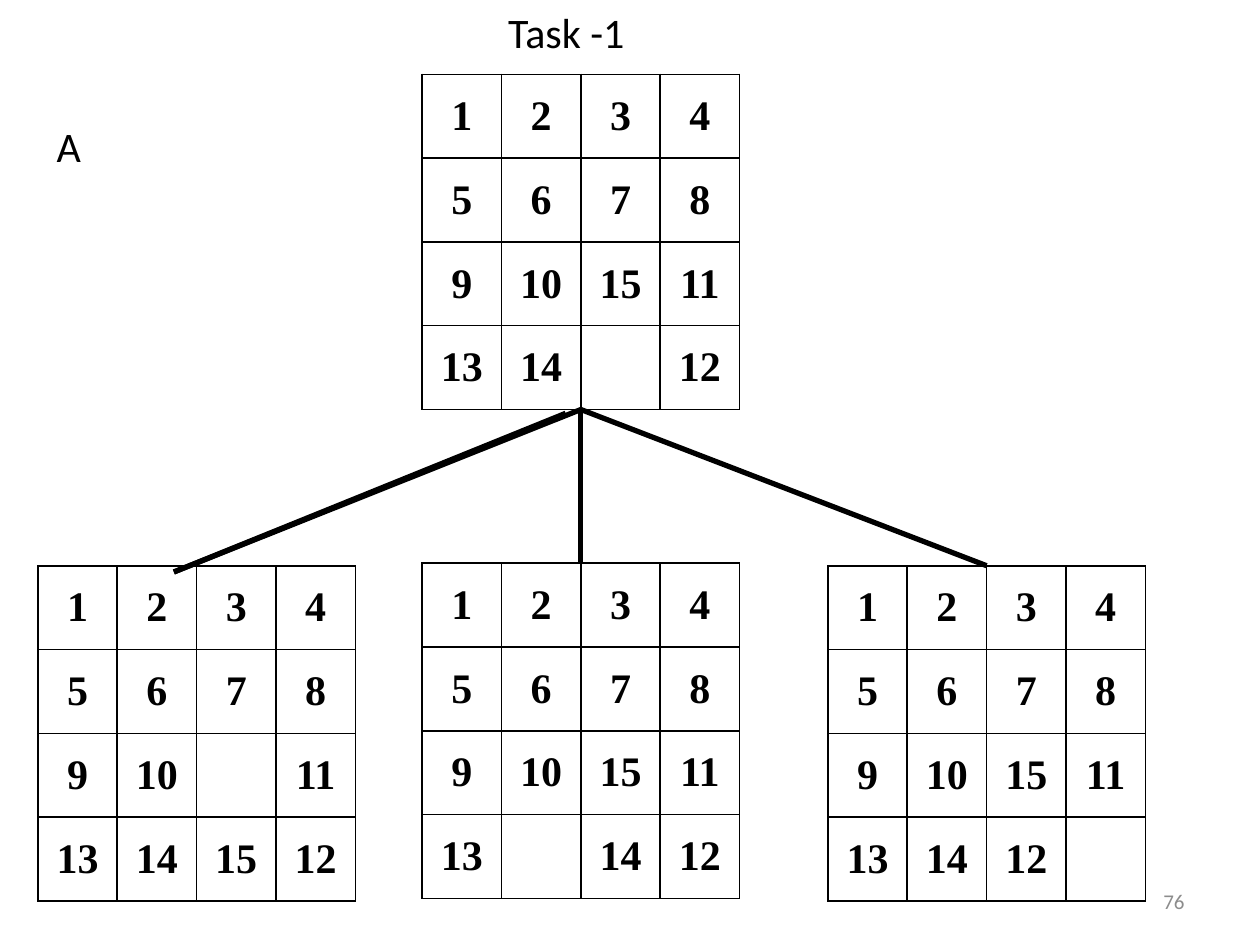
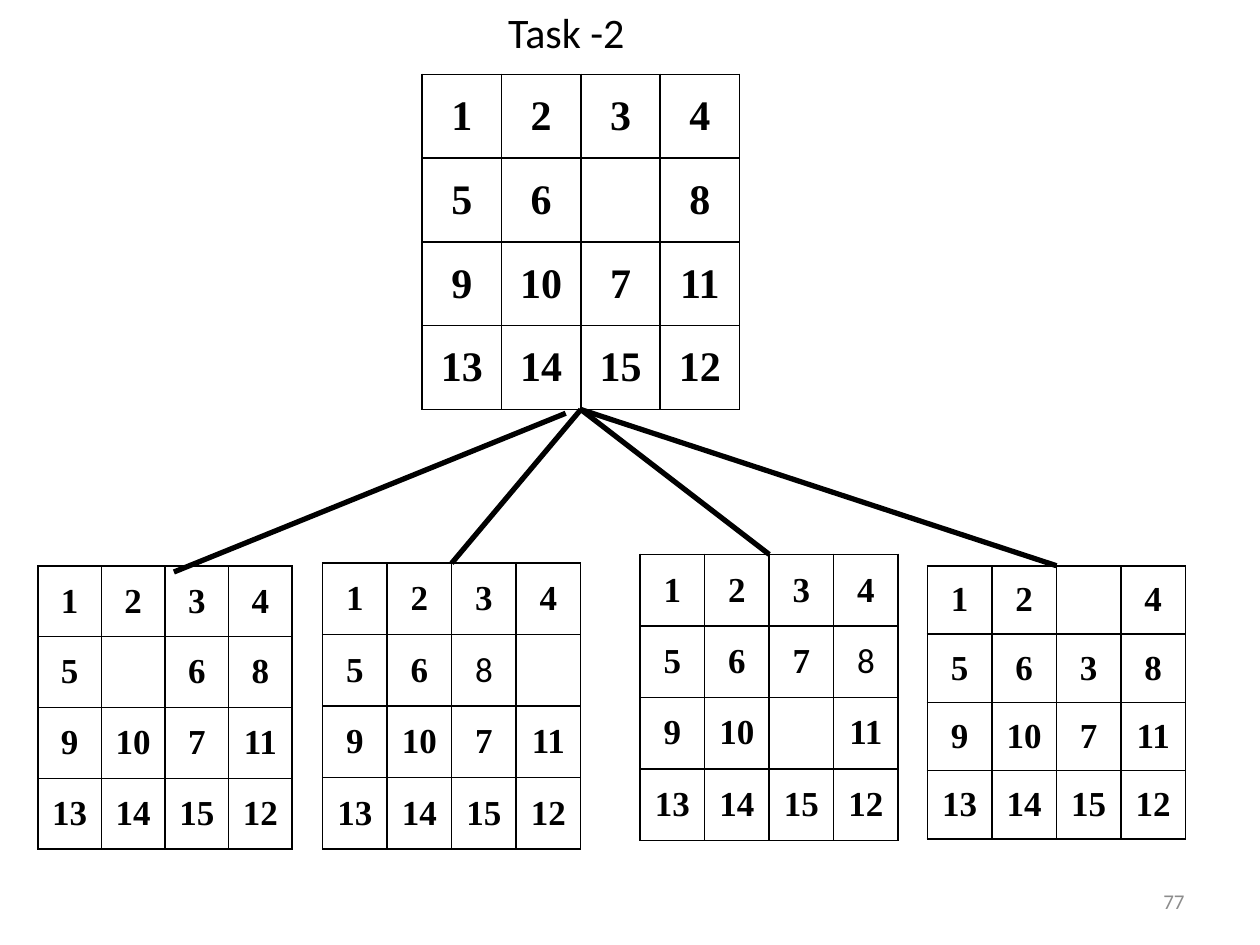
from collections import namedtuple
from lxml import etree
from pptx import Presentation
from pptx.dml.color import RGBColor
from pptx.enum import shapes, text
from pptx.oxml import ns
from pptx import util as u

UNIT = u.Inches(0.1)
COLUMNS, ROWS = 100, 75
INK, MUTED = "000000", "8C8C8C"
BODY_FONT, TILE_FONT = "Calibri", "Times New Roman"
STEPS = {"up": (-1, 0), "down": (1, 0), "left": (0, -1), "right": (0, 1)}

Box = namedtuple("Box", "left top width height")
Child = namedtuple("Child", "step box plain_tile", defaults=[""])

TITLE = Box(39.1, 0, 11.7, 5)
PAGE_NUMBER = Box(71.7, 69.5, 23.3, 4)
OPTION_LABEL = Box(3.5, 9.1, 94.5, 5)
PARENT = Box(33.5, 5.9, 25.2, 26.6)
PARENT_FOOT = (PARENT.left + PARENT.width / 2, PARENT.top + PARENT.height)
OUTER_BRANCH_START, OUTER_BRANCH_END = (44.9, 32.8), (13.8, 45.4)

TASK_1 = [["1", "2", "3", "4"],
          ["5", "6", "7", "8"],
          ["9", "10", "15", "11"],
          ["13", "14", "", "12"]]
TASK_2 = [["1", "2", "3", "4"],
          ["5", "6", "", "8"],
          ["9", "10", "7", "11"],
          ["13", "14", "15", "12"]]


def grid(*values):
    return [round(value * UNIT) for value in values]


def color(hex_string):
    return RGBColor.from_string(hex_string)


def style(paragraph, size, font=BODY_FONT, ink=INK, bold=False,
          align=text.PP_ALIGN.CENTER):
    paragraph.alignment = align
    for run in paragraph.runs:
        run.font.size = u.Pt(size)
        run.font.name = font
        run.font.bold = bold
        run.font.color.rgb = color(ink)


def add_label(slide, box, words, size=24, ink=INK,
              align=text.PP_ALIGN.CENTER, anchor=text.MSO_ANCHOR.TOP):
    frame = slide.shapes.add_textbox(*grid(*box)).text_frame
    frame.word_wrap = True
    frame.vertical_anchor = anchor
    frame.text = words
    style(frame.paragraphs[0], size, ink=ink, align=align)


def add_borders(cell):
    properties = cell._tc.get_or_add_tcPr()
    for position, side in enumerate(("lnL", "lnR", "lnT", "lnB")):
        border = etree.Element(ns.qn(f"a:{side}"), w=str(u.Pt(1)))
        fill = etree.SubElement(border, ns.qn("a:solidFill"))
        etree.SubElement(fill, ns.qn("a:srgbClr"), val=INK)
        properties.insert(position, border)


def add_puzzle(slide, box, tiles, size, plain_tile=""):
    side = len(tiles)
    table = slide.shapes.add_table(side, side, *grid(*box)).table
    table.first_row = table.horz_banding = False
    for column in table.columns:
        column.width = grid(box.width / side)[0]
    for row, values in zip(table.rows, tiles):
        row.height = grid(box.height / side)[0]
        for cell, tile in zip(row.cells, values):
            plain = tile == plain_tile
            cell.text = tile
            cell.vertical_anchor = text.MSO_ANCHOR.MIDDLE
            cell.fill.background()
            add_borders(cell)
            style(cell.text_frame.paragraphs[0], size,
                  BODY_FONT if plain else TILE_FONT, bold=not plain)


def add_branch(slide, start, end):
    branch = slide.shapes.add_connector(
        shapes.MSO_CONNECTOR.STRAIGHT, *grid(*start, *end))
    branch.line.color.rgb = color(INK)
    branch.line.width = u.Pt(3)
    etree.SubElement(branch._element.spPr, ns.qn("a:effectLst"))


def move_blank(tiles, step):
    row, column = next((r, values.index("")) for r, values in enumerate(tiles)
                       if "" in values)
    down, across = STEPS[step]
    moved = [list(values) for values in tiles]
    moved[row][column] = moved[row + down][column + across]
    moved[row + down][column + across] = ""
    return moved


def add_task(deck, title, page, tiles, child_size, children):
    slide = deck.slides.add_slide(deck.slide_layouts[6])
    add_label(slide, PAGE_NUMBER, page, 12, MUTED,
              text.PP_ALIGN.RIGHT, text.MSO_ANCHOR.MIDDLE)
    add_label(slide, TITLE, title)
    add_puzzle(slide, PARENT, tiles, 24)
    for child in children:
        add_puzzle(slide, child.box, move_blank(tiles, child.step),
                   child_size, child.plain_tile)
    add_branch(slide, OUTER_BRANCH_START, OUTER_BRANCH_END)
    for child in children[1:]:
        box = child.box
        add_branch(slide, PARENT_FOOT, (box.left + box.width / 2, box.top))
    return slide


def main():
    deck = Presentation()
    deck.slide_width, deck.slide_height = grid(COLUMNS, ROWS)

    first = add_task(deck, "Task -1", "76", TASK_1, 24, [
        Child("up", PARENT._replace(left=3, top=44.9)),
        Child("left", PARENT._replace(top=44.7)),
        Child("right", PARENT._replace(left=65.7, top=44.9)),
    ])
    add_label(first, OPTION_LABEL, "A", align=text.PP_ALIGN.LEFT)
    add_branch(first, PARENT_FOOT, OUTER_BRANCH_END)

    add_task(deck, "Task -2", "77", TASK_2, 20, [
        Child("left", Box(3, 44.9, 20.2, 22.5)),
        Child("right", Box(25.6, 44.7, 20.5, 22.7), "8"),
        Child("down", Box(50.8, 44, 20.5, 22.7), "8"),
        Child("up", Box(73.6, 44.9, 20.5, 21.7)),
    ])
    deck.save("out.pptx")


if __name__ == "__main__":
    main()
